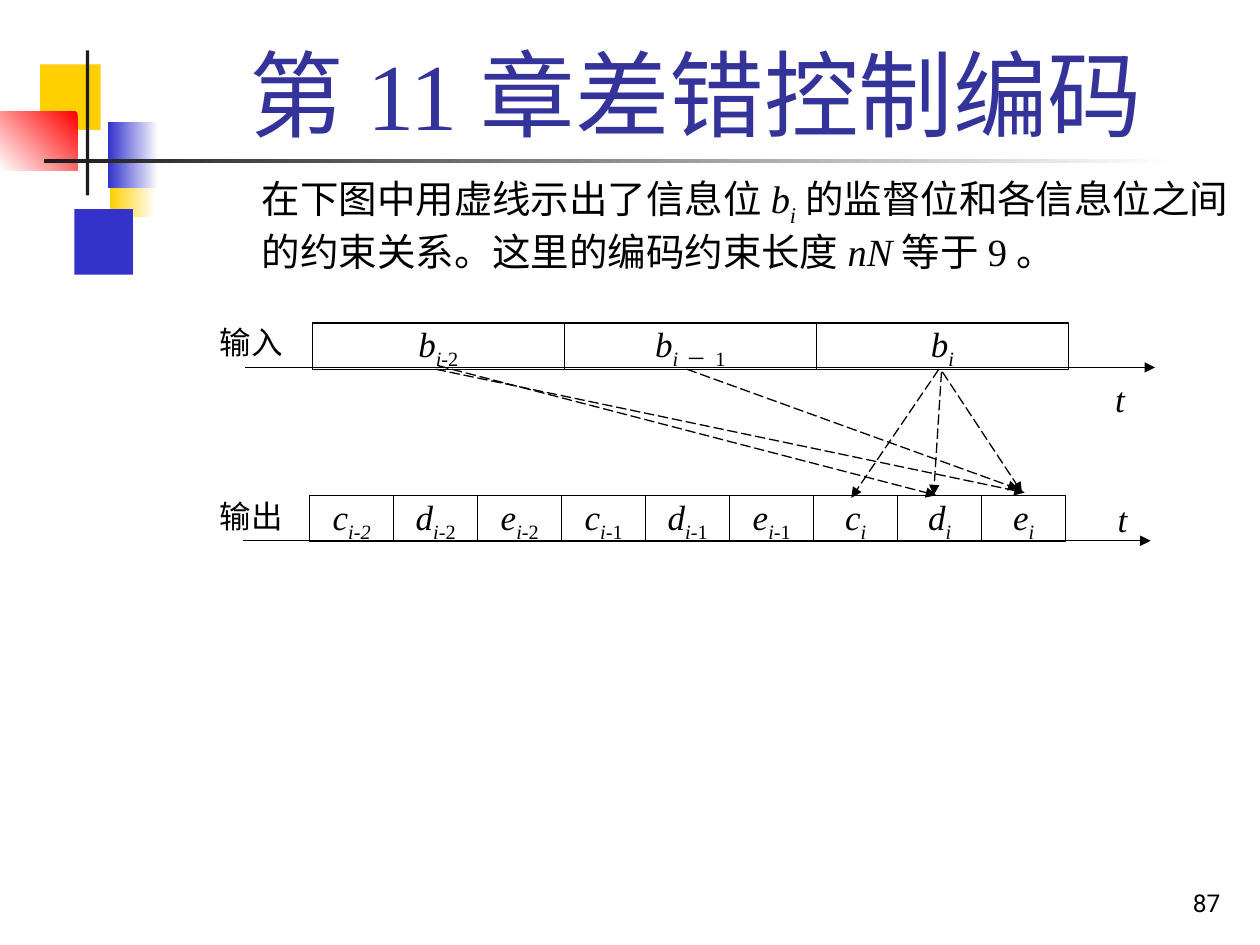
from lxml import etree
from pptx import Presentation
from pptx.dml.color import RGBColor
from pptx.enum import dml, shapes, text
from pptx.oxml import ns
from pptx.util import Pt

BLACK = RGBColor(0x00, 0x00, 0x00)
WHITE = RGBColor(0xFF, 0xFF, 0xFF)
CHARCOAL = RGBColor(0x1C, 0x1C, 0x1C)
GOLD = RGBColor(0xFF, 0xCF, 0x01)
BLUE = RGBColor(0x33, 0x33, 0xCC)
RED = RGBColor(0xFF, 0x00, 0x00)
TITLE_BLUE = RGBColor(0x33, 0x33, 0x99)
SERIF = "Times New Roman"

PLAIN, ITALIC, SUB, ITALIC_SUB = (False, False), (True, False), (False, True), (True, True)

INPUT_BITS = [("b", "i-", "2"), ("b", "i", "－1"), ("b", "i", "")]
OUTPUT_BITS = [
    ("c", "i-2", ""), ("d", "i-", "2"), ("e", "i", "-2"),
    ("c", "i", "-1"), ("d", "i", "-1"), ("e", "i", "-1"),
    ("c", "i", ""), ("d", "i", ""), ("e", "i", ""),
]
CONSTRAINTS = [
    (249, 211, 585.5, 281.5), (538.5, 212.5, 584, 281.5), (250.5, 209, 535, 283),
    (392.5, 211, 582, 279.5), (538, 212.5, 533.5, 283), (536.5, 211, 486.5, 284.5),
]


def write(paragraph, pieces, size, color=BLACK, font=SERIF, align=None):
    """Fill a paragraph with (wording, (italic, subscript)) pieces."""
    paragraph.alignment = align
    paragraph.font.size = Pt(size)
    paragraph.font.name = font
    paragraph.font.color.rgb = color
    for wording, (italic, lowered) in pieces:
        run = paragraph.add_run()
        run.text = wording
        run.font.italic = italic
        if lowered:
            run.font._element.set("baseline", "-25000")


def add_block(slide, left, top, width, height, colors, angle=180):
    """Add an unoutlined rectangle in one colour or a two-colour gradient."""
    block = slide.shapes.add_shape(
        shapes.MSO_SHAPE.RECTANGLE, Pt(left), Pt(top), Pt(width), Pt(height))
    block.shadow.inherit = False
    block.line.fill.background()
    if len(colors) == 1:
        block.fill.solid()
        block.fill.fore_color.rgb = colors[0]
    else:
        block.fill.gradient()
        block.fill.gradient_angle = angle
        for stop, color in zip(block.fill.gradient_stops, colors):
            stop.color.rgb = color
    return block


def set_margins(frame, margin=0):
    """Give a text frame equal margins, top anchoring and wrapping."""
    frame.margin_left = frame.margin_right = Pt(margin)
    frame.margin_top = frame.margin_bottom = Pt(margin / 2)
    frame.vertical_anchor = text.MSO_ANCHOR.TOP
    frame.word_wrap = True


def add_label(slide, left, top, width, height, wording, size, style=PLAIN,
              align=text.PP_ALIGN.CENTER):
    """Add a text box without margins."""
    label = slide.shapes.add_textbox(Pt(left), Pt(top), Pt(width), Pt(height))
    set_margins(label.text_frame)
    write(label.text_frame.paragraphs[0], [(wording, style)], size, align=align)


def add_bit_row(slide, left, top, width, bits):
    """Add a row of adjoining outlined cells, one for each bit symbol."""
    for column, (symbol, index, offset) in enumerate(bits):
        cell = add_block(slide, left + column * width, top, width, 26.5, [WHITE])
        cell.line.color.rgb = BLACK
        cell.line.width = Pt(0.75)
        set_margins(cell.text_frame)
        pieces = [(symbol, ITALIC), (index, ITALIC_SUB)]
        if offset:
            pieces.append((offset, SUB))
        write(cell.text_frame.paragraphs[0], pieces, 20, align=text.PP_ALIGN.CENTER)


def add_arrow(slide, x1, y1, x2, y2, dashed=False):
    """Add a thin black arrow."""
    arrow = slide.shapes.add_connector(
        shapes.MSO_CONNECTOR.STRAIGHT, Pt(x1), Pt(y1), Pt(x2), Pt(y2))
    arrow.line.color.rgb = BLACK
    arrow.line.width = Pt(0.75)
    if dashed:
        arrow.line.dash_style = dml.MSO_LINE.LONG_DASH
    properties = arrow._element.spPr
    etree.SubElement(properties.find(ns.qn("a:ln")), ns.qn("a:tailEnd"), type="triangle")
    etree.SubElement(properties, ns.qn("a:effectLst"))


def place(holder, left, top, width, height, anchor):
    """Move a placeholder and stop its text from shrinking."""
    holder.left, holder.top, holder.width, holder.height = map(Pt, (left, top, width, height))
    set_margins(holder.text_frame, 7.2)
    holder.text_frame.vertical_anchor = anchor
    holder.text_frame.auto_size = text.MSO_AUTO_SIZE.NONE


def add_decoration(slide):
    """Add the coloured blocks and the two rules beside the title."""
    add_block(slide, 63, 86.5, 26, 37.5, [WHITE, GOLD])
    add_block(slide, 42.5, 119.5, 33.5, 37.5, [BLUE])
    add_block(slide, 23, 36.75, 34.5, 37.5, [GOLD])
    add_block(slide, 62, 70, 28.5, 37.5, [WHITE, BLUE])
    add_block(slide, 0, 64, 44.25, 33.5, [RED, WHITE], 225)
    add_block(slide, 49, 28.75, 2, 83, [CHARCOAL])
    add_block(slide, 25, 91, 648, 2, [WHITE, CHARCOAL])


def add_title(slide):
    """Fill the title placeholder."""
    title = slide.shapes.title
    place(title, 91, 16.5, 613.5, 72.5, text.MSO_ANCHOR.BOTTOM)
    write(title.text_frame.paragraphs[0], [("第11章差错控制编码", PLAIN)], 54,
          TITLE_BLUE, align=text.PP_ALIGN.CENTER)


def add_explanation(slide):
    """Fill the body placeholder with one unbulleted, indented paragraph."""
    body = slide.placeholders[1]
    place(body, 16.5, 96.5, 703.5, 443.5, text.MSO_ANCHOR.TOP)
    paragraph = body.text_frame.paragraphs[0]
    write(paragraph, [
        ("在下图中用虚线示出了信息位", PLAIN), ("b", ITALIC), ("i", ITALIC_SUB),
        ("的监督位和各信息位之间的约束关系。这里的编码约束长度", PLAIN),
        ("nN", ITALIC), ("等于9。", PLAIN),
    ], 22)
    paragraph.space_before = Pt(5.5)
    layout = paragraph._p.get_or_add_pPr()
    layout.set("marL", str(Pt(126)))
    layout.set("indent", "0")
    bullet = etree.Element(ns.qn("a:buNone"))
    layout.find(ns.qn("a:spcBef")).addnext(bullet)


def add_diagram(slide):
    """Add the input and output bit rows, their time axes and the constraints."""
    add_bit_row(slide, 177, 283, 48, OUTPUT_BITS)
    add_arrow(slide, 139, 309, 657.5, 309)
    add_bit_row(slide, 178.5, 184.5, 144, INPUT_BITS)
    add_arrow(slide, 140, 210, 660, 210)
    for left, top in ((612, 215.5), (613.5, 284.5)):
        add_label(slide, left, top, 56, 28, "t", 20, ITALIC)
    for constraint in CONSTRAINTS:
        add_arrow(slide, *constraint, dashed=True)
    for top, name in ((184.5, "输入"), (284, "输出")):
        add_label(slide, 125.5, top, 47, 24, name, 18, align=text.PP_ALIGN.JUSTIFY)


def add_page_number(slide):
    """Add the page number at the lower right."""
    number = slide.shapes.add_textbox(Pt(554.5), Pt(492), Pt(150), Pt(36))
    set_margins(number.text_frame, 7.2)
    number.text_frame.vertical_anchor = text.MSO_ANCHOR.BOTTOM
    write(number.text_frame.paragraphs[0], [("87", PLAIN)], 14, font="Roboto",
          align=text.PP_ALIGN.RIGHT)


def main():
    """Build and save the slide."""
    deck = Presentation()
    deck.slide_width, deck.slide_height = Pt(720), Pt(540)
    slide = deck.slides.add_slide(deck.slide_layouts[1])
    add_decoration(slide)
    add_diagram(slide)
    add_title(slide)
    add_explanation(slide)
    add_page_number(slide)
    deck.save("out.pptx")


if __name__ == "__main__":
    main()
